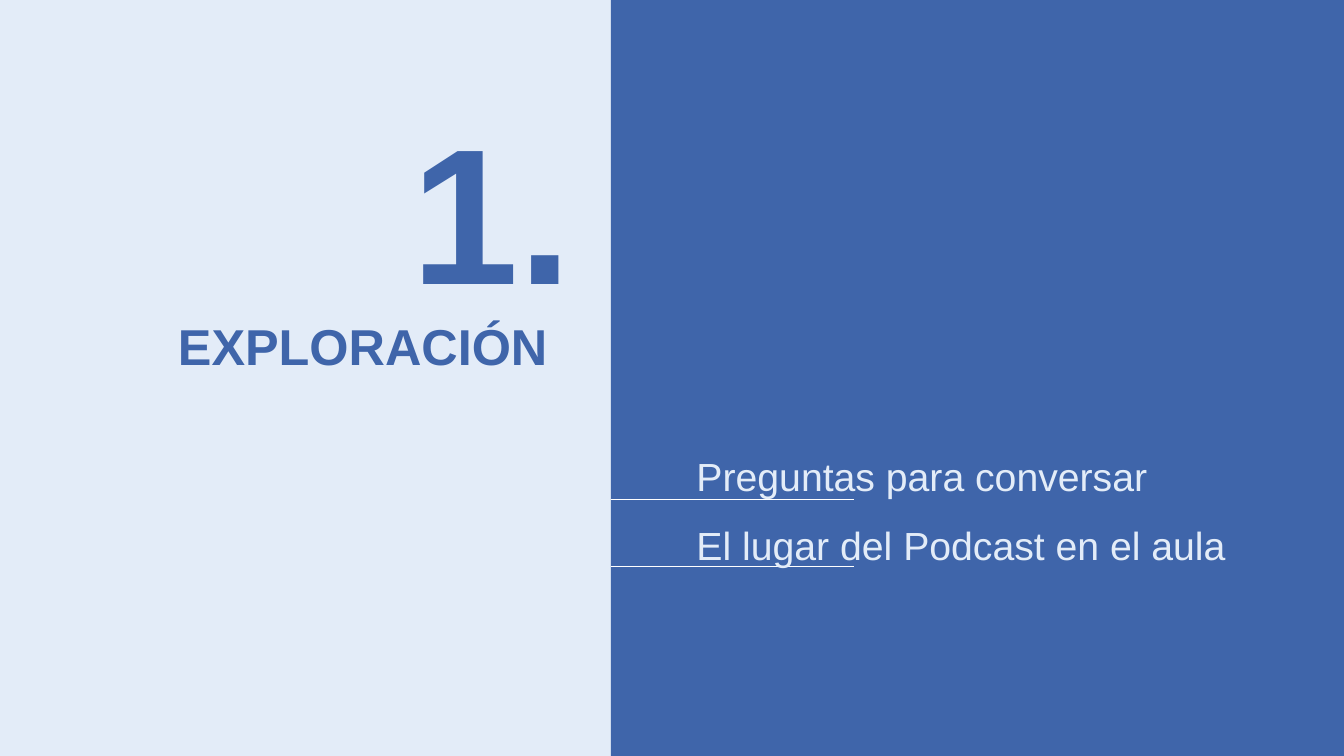
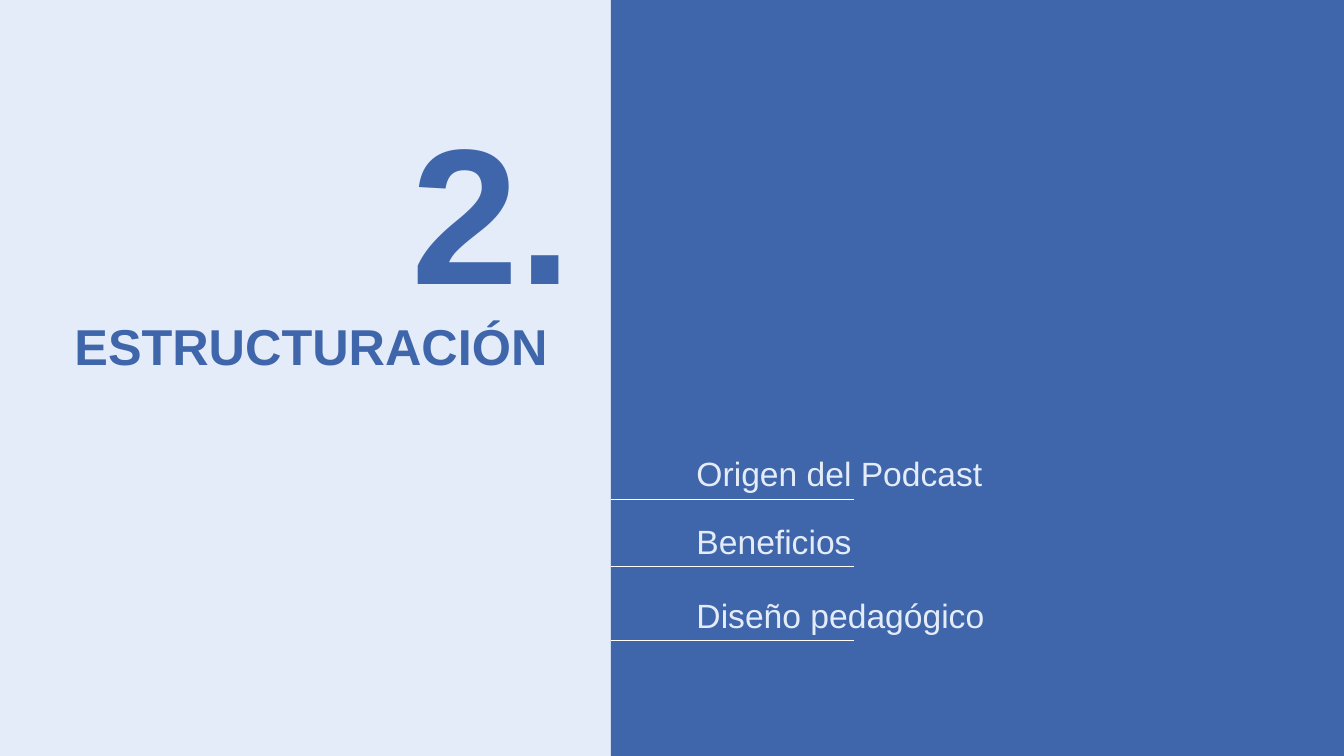
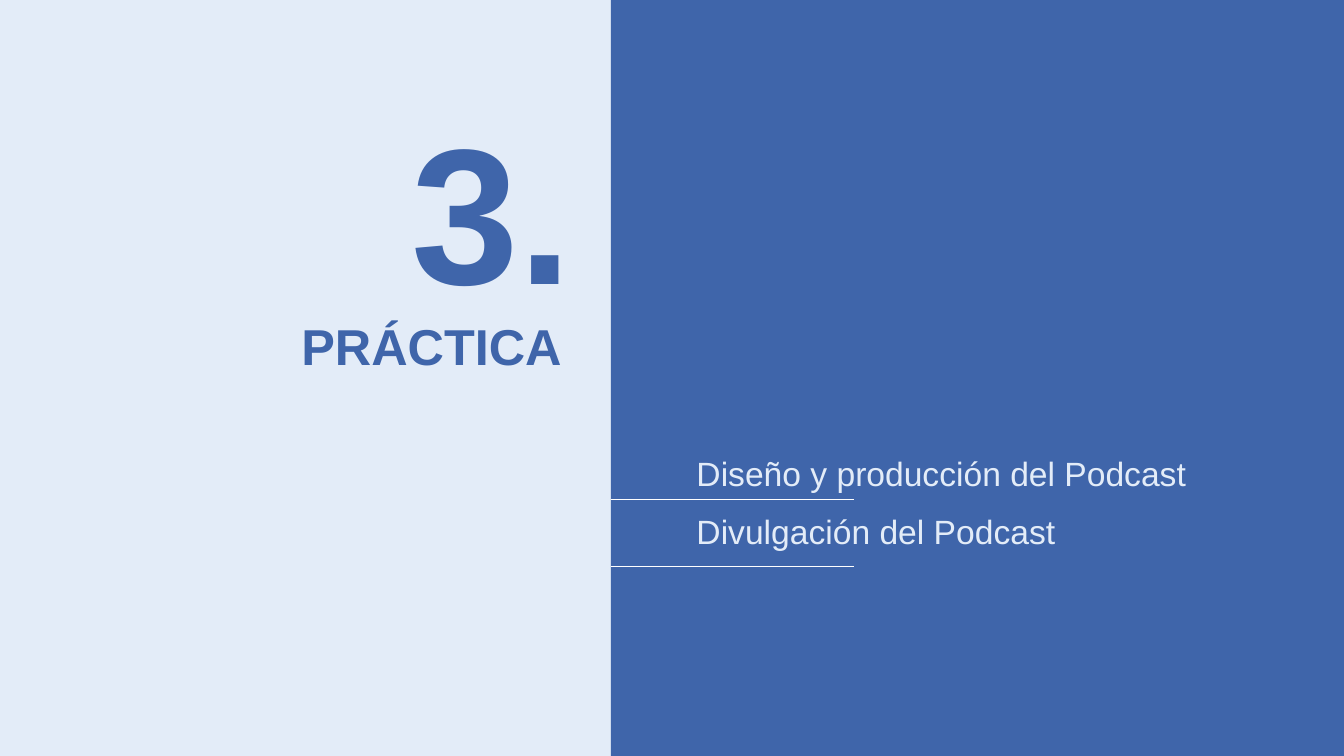
"""Three section dividers for a workshop on podcasts in the classroom."""
from pptx import Presentation
from pptx.dml.color import RGBColor
from pptx.enum.shapes import MSO_CONNECTOR as CONN, MSO_SHAPE as SHAPE
from pptx.enum.text import MSO_AUTO_SIZE as AUTO, PP_ALIGN as ALIGN
from pptx.oxml.ns import qn
from pptx.util import Inches, Pt
from lxml.etree import SubElement

SECTIONS = [
    {"number": "1.", "title": "EXPLORACIÓN ", "size": 28, "topics": [
        ("Preguntas para conversar", 4.44),
        ("El lugar del Podcast en el aula", 5.12)]},
    {"number": "2.", "title": "ESTRUCTURACIÓN ", "size": 24, "topics": [
        ("Origen del Podcast", 4.44),
        ("Beneficios", 5.12),
        ("Diseño pedagógico", 5.85)]},
    {"number": "3.", "title": "PRÁCTICA", "size": 24, "topics": [
        ("Diseño y producción del Podcast", 4.44),
        ("Divulgación del Podcast", 5.02)]},
]
COLORS = {"pale": "E3ECF8", "blue": "3F65AA", "white": "FFFFFF"}
FONT = "Arial"
WIDTH, HEIGHT = 13.33, 7.5
PANEL_LEFT = 6.06
RULE_WIDTH = 2.41
RULE_TOPS = [4.95, 5.62, 6.35]


def rgb(name):
    return RGBColor.from_string(COLORS[name])


def add_text(s, text, left, top, width, height, size, color, bold=False, align=ALIGN.LEFT):
    tf = s.shapes.add_textbox(*map(Inches, (left, top, width, height))).text_frame
    tf.word_wrap = True
    tf.auto_size = AUTO.SHAPE_TO_FIT_TEXT
    p = tf.paragraphs[0]
    p.alignment = align
    r = p.add_run()
    r.text = text
    r.font.name, r.font.size, r.font.bold = FONT, Pt(size), bold
    r.font.color.rgb = rgb(color)


def add_panel(s):
    sp = s.shapes.add_shape(SHAPE.RECTANGLE, Inches(PANEL_LEFT), 0,
                            Inches(WIDTH - PANEL_LEFT), Inches(HEIGHT))
    sp.shadow.inherit = False
    sp.fill.solid()
    sp.fill.fore_color.rgb = rgb("blue")
    sp.line.fill.background()


def add_rule(s, top):
    rule = s.shapes.add_connector(CONN.STRAIGHT, Inches(PANEL_LEFT + RULE_WIDTH), Inches(top),
                                  Inches(PANEL_LEFT), Inches(top))
    rule.line.color.rgb = rgb("white")
    rule.line.width = Pt(0.5)
    SubElement(rule._element.spPr, qn("a:effectLst"))


def add_section(prs, section):
    s = prs.slides.add_slide(prs.slide_layouts[6])
    add_text(s, section["number"], 3.98, 0.86, 1.81, 2.42, size=138, color="blue", bold=True)
    add_panel(s)
    add_text(s, section["title"], 0.61, 3.08, 5.06, 0.71, size=36, color="blue", bold=True,
             align=ALIGN.RIGHT)
    for (topic, top), rule_top in zip(section["topics"], RULE_TOPS):
        add_rule(s, rule_top)
        add_text(s, topic, 6.81, top, 5.66, section["size"] / 48, size=section["size"],
                 color="pale")


def main():
    prs = Presentation()
    prs.slide_width, prs.slide_height = Inches(WIDTH), Inches(HEIGHT)
    fill = prs.slide_master.background.fill
    fill.solid()
    fill.fore_color.rgb = rgb("pale")
    for section in SECTIONS:
        add_section(prs, section)
    prs.save("out.pptx")


if __name__ == "__main__":
    main()
